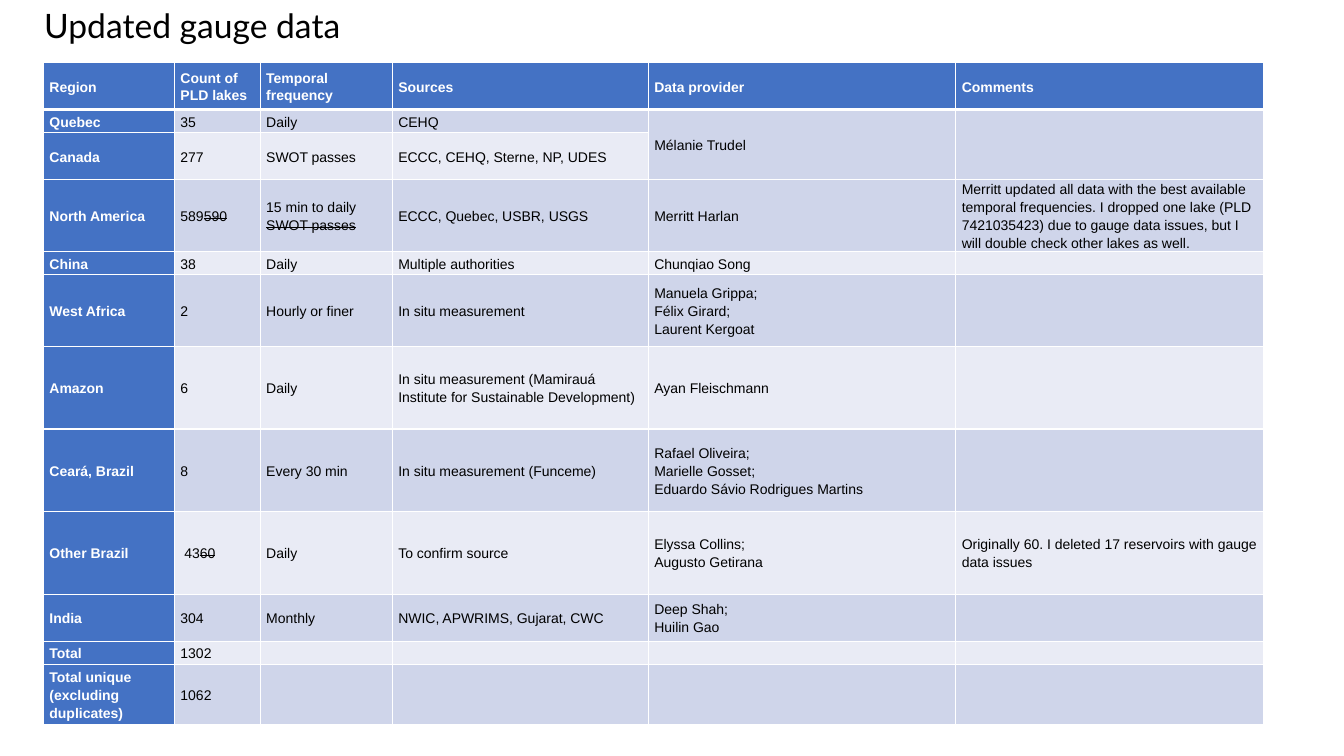
"""Build the slide that lists the updated lake gauge data by region."""
from dataclasses import dataclass

from lxml.etree import SubElement
from pptx import Presentation
from pptx.dml.color import RGBColor
from pptx.enum.text import MSO_ANCHOR, MSO_AUTO_SIZE
from pptx.oxml.ns import qn
from pptx.slide import Slide
from pptx.table import _Cell
from pptx.text.text import _Paragraph
from pptx.util import Inches, Pt

SLIDE_WIDTH, SLIDE_HEIGHT = Inches(13.33), Inches(7.5)
COLORS = {
    "header": "4472C4",
    "odd": "CFD5EA",
    "even": "E9EBF5",
    "white": "FFFFFF",
    "black": "000000",
}
COLUMN_SHARES = (9.75, 6.38, 9.83, 19.05, 22.88, 22.88)
SHORT, MEDIUM, TALL, TALLEST = 3.05, 6.23, 9.5, 10.92
STRIKE_MARK = "~"


@dataclass(frozen=True)
class GaugeRow:
    """One table row; text after the strike mark is struck through."""

    height: float
    region: str
    count: str
    frequency: str = ""
    sources: str = ""
    provider: str = ""
    comments: str = ""

    def texts(self) -> tuple[str, ...]:
        """Return the cell texts from left to right."""
        return (self.region, self.count, self.frequency,
                self.sources, self.provider, self.comments)


GAUGE_ROWS = (
    GaugeRow(MEDIUM, "Region", "Count of PLD lakes", "Temporal frequency",
             "Sources", "Data provider", "Comments"),
    GaugeRow(SHORT, "Quebec", "35", "Daily", "CEHQ", "Mélanie Trudel"),
    GaugeRow(MEDIUM, "Canada", "277", "SWOT passes", "ECCC, CEHQ, Sterne, NP, UDES"),
    GaugeRow(TALL, "North America", "589~590", "15 min to daily\n~SWOT passes",
             "ECCC, Quebec, USBR, USGS", "Merritt Harlan",
             "Merritt updated all data with the best available temporal frequencies. "
             "I dropped one lake (PLD 7421035423) due to gauge data issues, "
             "but I will double check other lakes as well."),
    GaugeRow(SHORT, "China", "38", "Daily", "Multiple authorities", "Chunqiao Song"),
    GaugeRow(TALL, "West Africa", "2", "Hourly or finer", "In situ measurement",
             "Manuela Grippa;\nFélix Girard;\nLaurent Kergoat"),
    GaugeRow(TALLEST, "Amazon", "6", "Daily",
             "In situ measurement (Mamirauá Institute for Sustainable Development)",
             "Ayan Fleischmann"),
    GaugeRow(TALLEST, "Ceará, Brazil", "8", "Every 30 min",
             "In situ measurement (Funceme)",
             "Rafael Oliveira;\nMarielle Gosset;\nEduardo Sávio Rodrigues Martins"),
    GaugeRow(TALLEST, "Other Brazil", " 43~60", "Daily", "To confirm source",
             "Elyssa Collins;\nAugusto Getirana",
             "Originally 60. I deleted 17 reservoirs with gauge data issues"),
    GaugeRow(MEDIUM, "India", "304", "Monthly", "NWIC, APWRIMS, Gujarat, CWC",
             "Deep Shah;\nHuilin Gao"),
    GaugeRow(SHORT, "Total", "1302"),
    GaugeRow(8.05, "Total unique (excluding duplicates)", "1062"),
)


def across(percent: float) -> int:
    """Turn a share of the slide's width into a length."""
    return round(SLIDE_WIDTH * percent / 100)


def down(percent: float) -> int:
    """Turn a share of the slide's height into a length."""
    return round(SLIDE_HEIGHT * percent / 100)


def color(name: str) -> RGBColor:
    """Look up a named colour."""
    return RGBColor.from_string(COLORS[name])


def add_borders(cell: _Cell, top: float, bottom: float) -> None:
    """Give the cell white borders, with their widths in points."""
    properties = cell._tc.get_or_add_tcPr()
    for side, width in (("L", 1), ("R", 1), ("T", top), ("B", bottom)):
        line = SubElement(properties, qn(f"a:ln{side}"), w=str(Pt(width)))
        fill = SubElement(line, qn("a:solidFill"))
        SubElement(fill, qn("a:srgbClr"), val=COLORS["white"])


def format_paragraph(para: _Paragraph, is_heading: bool) -> None:
    """Format a cell paragraph and strike the text after its mark."""
    plain, _, struck = para.text.partition(STRIKE_MARK)
    para.text = plain
    para.line_spacing = 1.15
    if struck:
        span = para.add_run()
        span.text = struck
        span._r.get_or_add_rPr().set("strike", "sngStrike")
    for span in para.runs:
        span.font.name = "Arial"
        span.font.size = Pt(10)
        span.font.bold = is_heading
        span.font.color.rgb = color("white" if is_heading else "black")
    if not para.runs:
        SubElement(para._p, qn("a:endParaRPr"), sz="1000")


def fill_cell(cell: _Cell, text: str, row: int, column: int) -> None:
    """Write and style one table cell."""
    is_heading = row == 0 or column == 0
    add_borders(cell, top=3 if row == 1 else 1, bottom=3 if row == 0 else 1)
    cell.fill.solid()
    cell.fill.fore_color.rgb = color(
        "header" if is_heading else "odd" if row % 2 else "even")
    cell.margin_left = cell.margin_right = across(0.45)
    cell.margin_top = cell.margin_bottom = 0
    cell.vertical_anchor = MSO_ANCHOR.MIDDLE
    cell.text_frame.text = text
    for para in cell.text_frame.paragraphs:
        format_paragraph(para, is_heading)


def add_title(page: Slide, title: str) -> None:
    """Place the slide title."""
    box = page.shapes.add_textbox(across(2.55), 0, across(91.45), down(6.67))
    frame = box.text_frame
    frame.word_wrap = True
    frame.auto_size = MSO_AUTO_SIZE.SHAPE_TO_FIT_TEXT
    frame.vertical_anchor = MSO_ANCHOR.MIDDLE
    frame.text = title
    font = frame.paragraphs[0].runs[0].font
    font.name, font.size = "Lato", Pt(24)
    font.color.rgb = color("black")


def add_gauge_table(page: Slide) -> None:
    """Place the table of gauge data."""
    heights = [gauge.height for gauge in GAUGE_ROWS]
    table = page.shapes.add_table(
        len(GAUGE_ROWS), len(COLUMN_SHARES), across(3.23), down(8.27),
        across(sum(COLUMN_SHARES)), down(sum(heights))).table
    table.first_col = True
    for column, share in zip(table.columns, COLUMN_SHARES):
        column.width = across(share)
    for row, gauge in enumerate(GAUGE_ROWS):
        table.rows[row].height = down(gauge.height)
        for column, text in enumerate(gauge.texts()):
            fill_cell(table.cell(row, column), text, row, column)
    for column in (4, 5):
        table.cell(1, column).merge(table.cell(2, column))


def main() -> None:
    """Build and save the deck."""
    deck = Presentation()
    deck.slide_width, deck.slide_height = SLIDE_WIDTH, SLIDE_HEIGHT
    page = deck.slides.add_slide(deck.slide_layouts[6])
    add_gauge_table(page)
    add_title(page, "Updated gauge data")
    deck.save("out.pptx")


if __name__ == "__main__":
    main()
